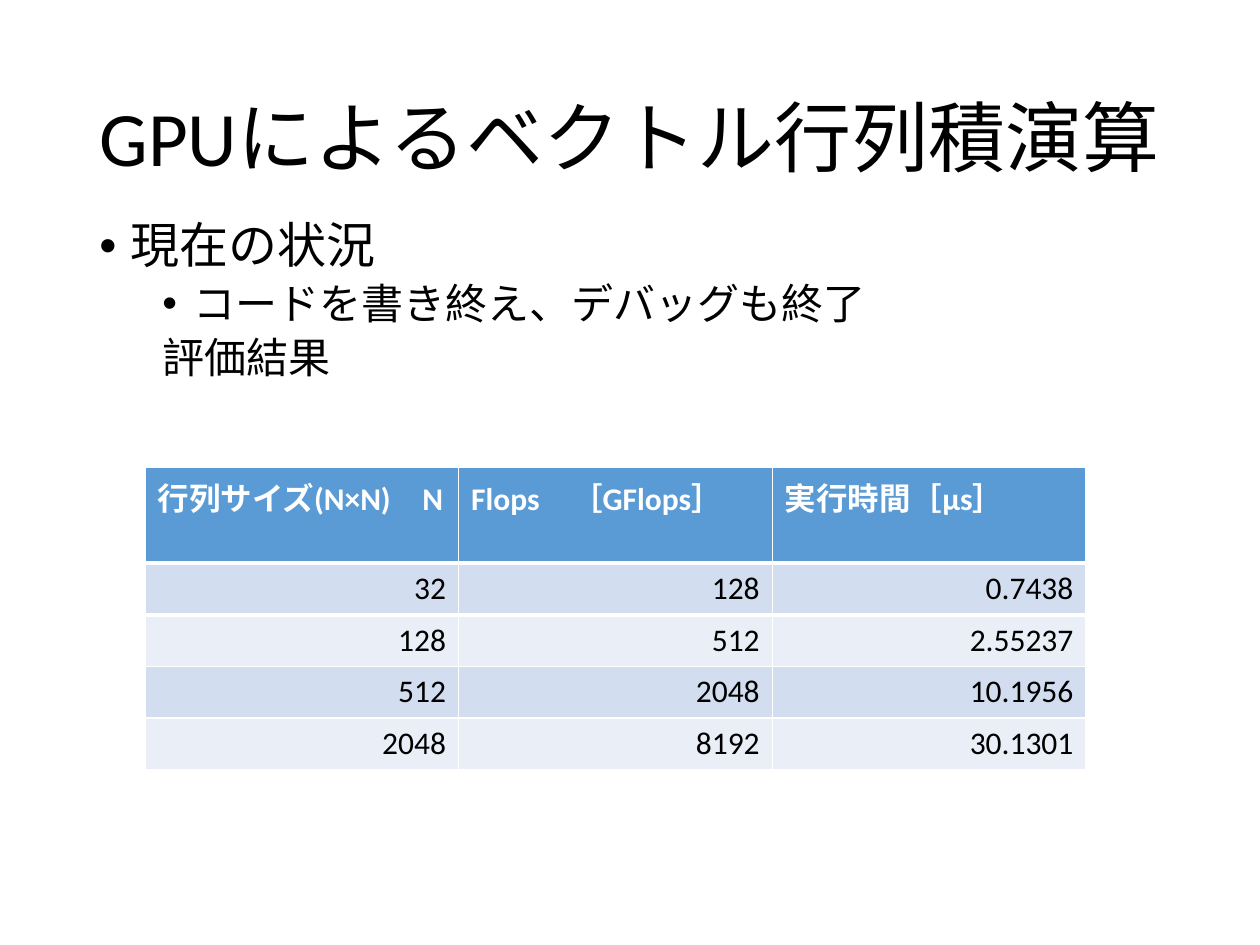
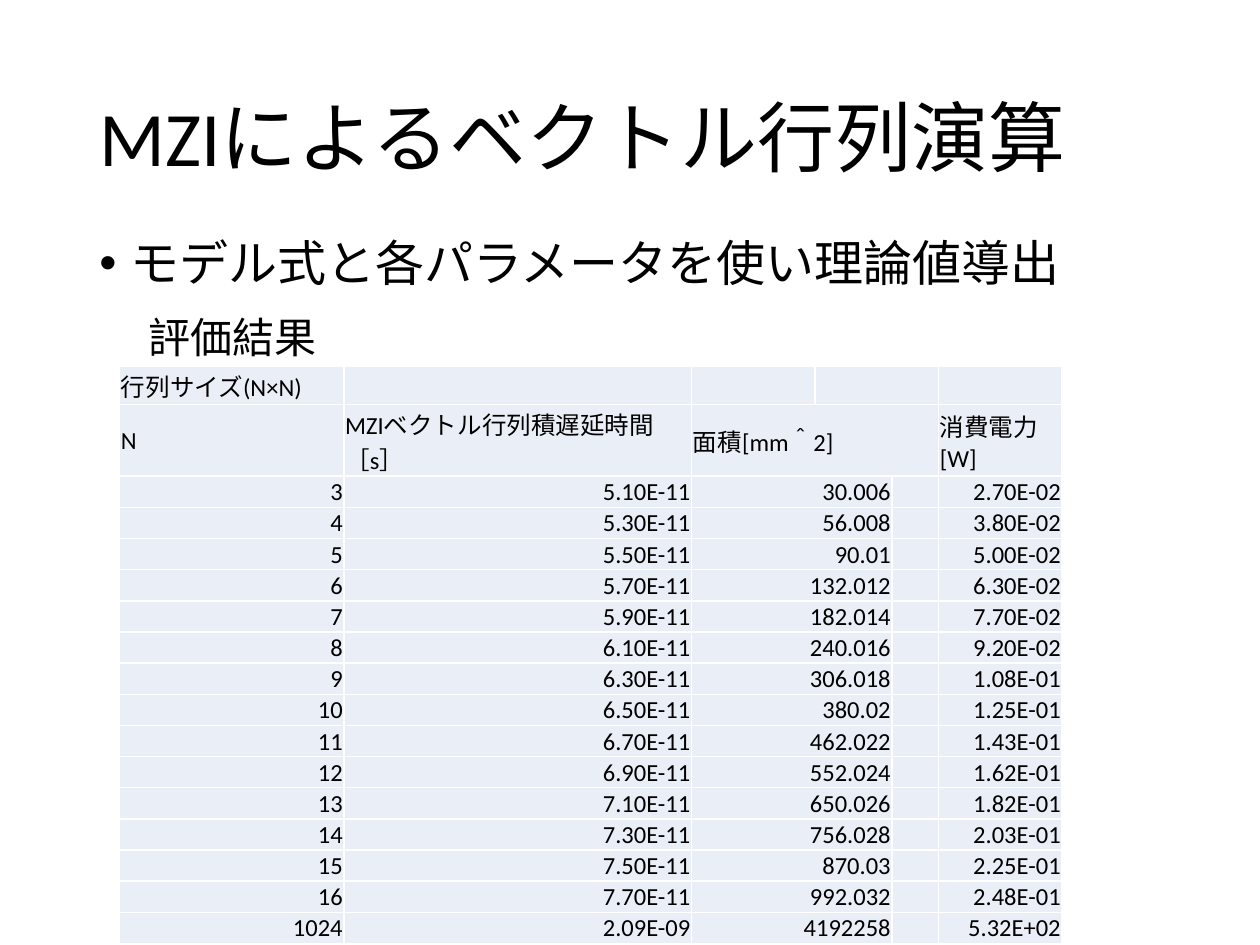
from pptx import Presentation
from pptx.dml.color import RGBColor
from pptx.enum.text import MSO_ANCHOR, MSO_AUTO_SIZE, PP_ALIGN
from pptx.oxml.xmlchemy import OxmlElement
from pptx.util import Inches, Pt

LEFT, RIGHT = PP_ALIGN.LEFT, PP_ALIGN.RIGHT
TOP, MIDDLE = MSO_ANCHOR.TOP, MSO_ANCHOR.MIDDLE
NO_AUTOFIT = MSO_AUTO_SIZE.NONE
TITLE_ONLY = 5
FONT = "Calibri"
COLORS = {
    "text": "000000",
    "header_text": "FFFFFF",
    "border": "FFFFFF",
    "header": "5B9BD5",
    "band": "D2DEEF",
    "light": "EAEFF7",
}

GPU_ROWS = [
    ["行列サイズ(N×N)　N", "Flops　［GFlops］", "実行時間［μs］"],
    ["32", "128", "0.7438"],
    ["128", "512", "2.55237"],
    ["512", "2048", "10.1956"],
    ["2048", "8192", "30.1301"],
]

MZI_HEADERS = [
    ["行列サイズ(N×N)", "", "", "", "", ""],
    ["N", "MZIベクトル行列積遅延時間［s］", "面積[mm＾2]", "", "", "消費電力[W]"],
]
MZI_RESULTS = [
    ("3", "5.10E-11", "30.006", "2.70E-02"),
    ("4", "5.30E-11", "56.008", "3.80E-02"),
    ("5", "5.50E-11", "90.01", "5.00E-02"),
    ("6", "5.70E-11", "132.012", "6.30E-02"),
    ("7", "5.90E-11", "182.014", "7.70E-02"),
    ("8", "6.10E-11", "240.016", "9.20E-02"),
    ("9", "6.30E-11", "306.018", "1.08E-01"),
    ("10", "6.50E-11", "380.02", "1.25E-01"),
    ("11", "6.70E-11", "462.022", "1.43E-01"),
    ("12", "6.90E-11", "552.024", "1.62E-01"),
    ("13", "7.10E-11", "650.026", "1.82E-01"),
    ("14", "7.30E-11", "756.028", "2.03E-01"),
    ("15", "7.50E-11", "870.03", "2.25E-01"),
    ("16", "7.70E-11", "992.032", "2.48E-01"),
    ("1024", "2.09E-09", "4192258", "5.32E+02"),
]


def rgb(name):
    """Return the named palette colour."""
    return RGBColor.from_string(COLORS[name])


def format_paragraph(paragraph, size, color="text", bold=False, align=LEFT):
    """Set the font and alignment of a paragraph."""
    paragraph.alignment = align
    font = paragraph.font
    font.name, font.size, font.bold = FONT, Pt(size), bold
    font.color.rgb = rgb(color)


def add_titled_slide(presentation, title):
    """Add a slide with the shared title style."""
    slide = presentation.slides.add_slide(presentation.slide_layouts[TITLE_ONLY])
    shape = slide.shapes.title
    shape.left, shape.top = Inches(0.69), Inches(0.4)
    shape.width, shape.height = Inches(8.62), Inches(1.45)
    frame = shape.text_frame
    frame.text = title
    frame.vertical_anchor = MIDDLE
    frame.auto_size = NO_AUTOFIT
    paragraph = frame.paragraphs[0]
    paragraph.line_spacing = 0.9
    format_paragraph(paragraph, 44)
    return slide


def set_indent(paragraph, margin, bullet):
    """Indent a paragraph and give it a hanging bullet if wanted."""
    properties = paragraph._p.get_or_add_pPr()
    properties.set("marL", str(Inches(margin)))
    properties.set("indent", str(Inches(-0.25 if bullet else 0)))
    if bullet:
        mark_font = OxmlElement("a:buFont")
        mark_font.set("typeface", "Arial")
        mark = OxmlElement("a:buChar")
        mark.set("char", "•")
        properties.insert_element_before(mark_font, "a:tabLst", "a:defRPr", "a:extLst")
        mark_font.addnext(mark)


def add_body(slide, top, width, height, items):
    """Add the body text; items are (text, size, margin, bullet, space before)."""
    box = slide.shapes.add_textbox(Inches(0.69), Inches(top), Inches(width), Inches(height))
    frame = box.text_frame
    frame.word_wrap = True
    for index, (text, size, margin, bullet, space) in enumerate(items):
        paragraph = frame.add_paragraph() if index else frame.paragraphs[0]
        paragraph.text = text
        paragraph.line_spacing = 0.9
        paragraph.space_before = Pt(space)
        format_paragraph(paragraph, size)
        set_indent(paragraph, margin, bullet)


def add_grid(slide, left, top, widths, heights):
    """Add an empty table with the given column widths and row heights."""
    frame = slide.shapes.add_table(
        len(heights), len(widths), Inches(left), Inches(top),
        Inches(sum(widths)), Inches(sum(heights)))
    table = frame.table
    for column, width in zip(table.columns, widths):
        column.width = Inches(width)
    for row, height in zip(table.rows, heights):
        row.height = Inches(height)
    return table


def fill_cell(cell, text, fill, size, anchor=TOP, **style):
    """Write a cell, keeping the text size in empty cells too."""
    cell.fill.solid()
    cell.fill.fore_color.rgb = rgb(fill)
    cell.vertical_anchor = anchor
    paragraph = cell.text_frame.paragraphs[0]
    if text:
        paragraph.text = text
    else:
        paragraph._p.get_or_add_endParaRPr().set("sz", str(size * 100))
    format_paragraph(paragraph, size, **style)


def set_border(cell, side, width):
    """Draw one cell edge; side is an element name such as a:lnB."""
    line = OxmlElement(side)
    line.set("w", str(Pt(width)))
    fill = OxmlElement("a:solidFill")
    color = OxmlElement("a:srgbClr")
    color.set("val", COLORS["border"])
    fill.append(color)
    line.append(fill)
    cell._tc.get_or_add_tcPr().insert(0, line)


def add_gpu_table(slide):
    """Add the banded table of GPU results."""
    heights = [0.76] + [0.41] * (len(GPU_ROWS) - 1)
    table = add_grid(slide, 1.15, 3.71, [2.49] * 3, heights)
    for row, values in enumerate(GPU_ROWS):
        for column, text in enumerate(values):
            cell = table.cell(row, column)
            if row == 0:
                fill_cell(cell, text, "header", 18, color="header_text", bold=True)
                set_border(cell, "a:lnB", 3)
            else:
                fill_cell(cell, text, "band" if row % 2 else "light", 18, align=RIGHT)
            if row == 1:
                set_border(cell, "a:lnT", 3)


def add_mzi_table(slide):
    """Add the compact table of MZI results, with its merged area columns."""
    rows = MZI_HEADERS + [
        [size, delay, area, "", "", power] for size, delay, area, power in MZI_RESULTS]
    header_heights = [0.3, 0.57]
    result_height = (4.58 - sum(header_heights)) / len(MZI_RESULTS)
    heights = header_heights + [result_height] * len(MZI_RESULTS)
    table = add_grid(slide, 0.95, 2.91, [1.78, 2.76, 0.98, 0.61, 0.37, 0.98], heights)
    table.first_row = table.horz_banding = False
    header_spans = [(3, 4), (2, 4)]
    for row, values in enumerate(rows):
        is_header = row < len(MZI_HEADERS)
        for column, text in enumerate(values):
            cell = table.cell(row, column)
            cell.margin_left = cell.margin_right = cell.margin_top = Inches(0.01)
            cell.margin_bottom = 0
            fill_cell(cell, text, "light", 14, MIDDLE, align=LEFT if is_header else RIGHT)
        first, last = header_spans[row] if is_header else (2, 3)
        table.cell(row, first).merge(table.cell(row, last))


def main():
    """Build the two result slides."""
    presentation = Presentation()
    presentation.slide_width, presentation.slide_height = Inches(10), Inches(7.5)

    slide = add_titled_slide(presentation, "GPUによるベクトル行列積演算")
    add_body(slide, 1.71, 8.86, 5.04, [
        ("現在の状況", 28, 0.25, True, 10),
        ("コードを書き終え、デバッグも終了", 24, 0.75, True, 5),
        ("評価結果", 24, 0.5, False, 5),
    ])
    add_gpu_table(slide)

    slide = add_titled_slide(presentation, "MZIによるベクトル行列演算")
    add_body(slide, 1.85, 8.62, 4.91, [
        ("モデル式と各パラメータを使い理論値導出", 28, 0.25, True, 10),
        ("評価結果", 24, 0.39, False, 14),
    ])
    add_mzi_table(slide)

    presentation.save("out.pptx")


main()
